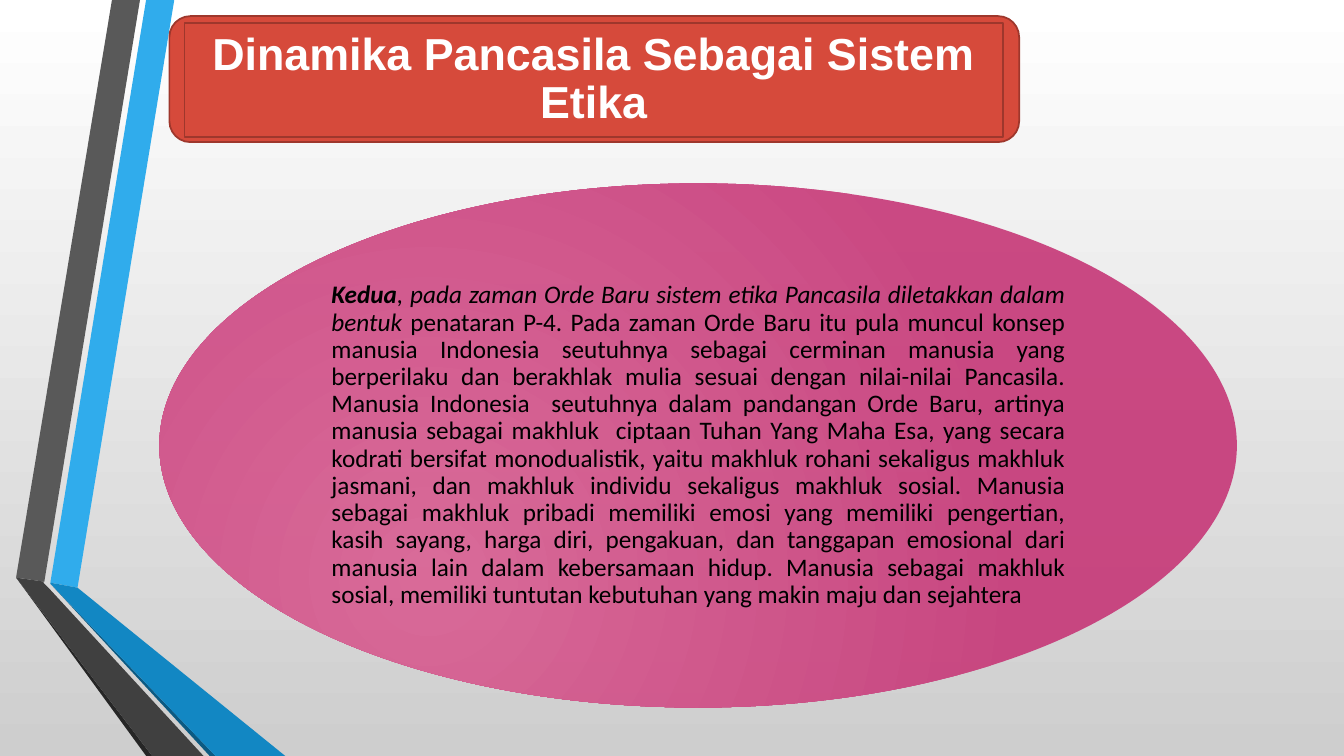
from dataclasses import dataclass

from lxml import etree
from pptx import Presentation
from pptx.dml.color import RGBColor
from pptx.enum.shapes import MSO_SHAPE
from pptx.enum.text import MSO_ANCHOR, PP_ALIGN
from pptx.oxml.ns import qn
from pptx.util import Pt

ROUNDED, RECTANGLE, OVAL = MSO_SHAPE.ROUNDED_RECTANGLE, MSO_SHAPE.RECTANGLE, MSO_SHAPE.OVAL
MIDDLE = MSO_ANCHOR.MIDDLE
CENTER, JUSTIFY = PP_ALIGN.CENTER, PP_ALIGN.JUSTIFY
SLIDE_WIDTH, SLIDE_HEIGHT = 960, 540


@dataclass(frozen=True)
class Theme:
    background: tuple = ("FFFFFF", "CECECE")
    oval: tuple = ("D95F92", "C63777")
    oval_opacity: int = 90
    banner: str = "D64A3B"
    banner_line: str = "9E372C"
    line_width: float = 1.25
    title_font: str = "Arial"
    title_size: int = 32
    title_color: str = "FFFFFF"
    body_font: str = "Calibri"
    body_size: int = 18
    body_color: str = "000000"


@dataclass(frozen=True)
class Box:
    left: float
    top: float
    width: float
    height: float

    def emu(self) -> list:
        return [Pt(value) for value in (self.left, self.top, self.width, self.height)]


@dataclass(frozen=True)
class Ribbon:
    color: str
    points: tuple


@dataclass(frozen=True)
class TextRun:
    text: str
    bold: bool = False
    italic: bool = False


@dataclass(frozen=True)
class TextStyle:
    font: str
    size: float
    color: str
    alignment: PP_ALIGN
    inset: float


THEME = Theme()
TITLE_STYLE = TextStyle(THEME.title_font, THEME.title_size, THEME.title_color, CENTER, 16.5)
BODY_STYLE = TextStyle(THEME.body_font, THEME.body_size, THEME.body_color, JUSTIFY, 10)

# Folded ribbons on the left edge, from back to front
RIBBONS = (
    Ribbon("30ACEC", ((36, 416.2), (55.4, 419.8), (124.5, 0), (104.4, 0))),
    Ribbon("595959", ((100, 0), (80, 0), (11.5, 412.6), (31.7, 415.5))),
    Ribbon("262626", ((11.5, 412.6), (104.4, 540), (108.7, 540))),
    Ribbon("0C5A82", ((36, 416.9), (149.8, 540), (154, 540))),
    Ribbon("1287C3", ((36, 416.9), (154, 540), (203.8, 540), (55.4, 419.8), (36, 416.2))),
    Ribbon("404040", ((145.4, 540), (34.6, 419.8), (31, 416.2), (31.7, 415.5),
                      (11.5, 412.6), (108.7, 540))),
)

BANNER = Box(121, 11.5, 607, 90)
TITLE_PANEL = Box(131.8, 16.5, 584.6, 81.4)
OVAL_BOX = Box(113.8, 131, 769.7, 374.4)
BODY_BOX = Box(226.8, 224.6, 544.3, 187.2)

TITLE = (TextRun("Dinamika Pancasila Sebagai Sistem Etika", bold=True),)
BODY = (
    TextRun("Kedua", bold=True, italic=True),
    TextRun(", pada zaman Orde Baru sistem etika Pancasila diletakkan dalam bentuk ", italic=True),
    TextRun(
        "penataran P-4. Pada zaman Orde Baru itu pula muncul konsep manusia Indonesia "
        "seutuhnya sebagai cerminan manusia yang berperilaku dan berakhlak mulia sesuai "
        "dengan nilai-nilai Pancasila. Manusia Indonesia  seutuhnya dalam pandangan Orde "
        "Baru, artinya manusia sebagai makhluk  ciptaan Tuhan Yang Maha Esa, yang secara "
        "kodrati bersifat monodualistik, yaitu makhluk rohani sekaligus makhluk jasmani, "
        "dan makhluk individu sekaligus makhluk sosial. Manusia sebagai makhluk pribadi "
        "memiliki emosi yang memiliki pengertian, kasih sayang, harga diri, pengakuan, dan "
        "tanggapan emosional dari manusia lain dalam kebersamaan hidup. Manusia sebagai "
        "makhluk sosial, memiliki tuntutan kebutuhan yang makin maju dan sejahtera"
    ),
)


def set_gradient(fill, colors: tuple) -> None:
    fill.gradient()
    for stop, color in zip(fill.gradient_stops, colors):
        stop.color.rgb = RGBColor.from_string(color)


def draw_ribbon(slide, ribbon: Ribbon) -> None:
    start, *others = [(Pt(x), Pt(y)) for x, y in ribbon.points]
    builder = slide.shapes.build_freeform(*start)
    builder.add_line_segments(others, close=True)
    shape = builder.convert_to_shape()
    shape.shadow.inherit = False
    shape.fill.solid()
    shape.fill.fore_color.rgb = RGBColor.from_string(ribbon.color)
    shape.line.fill.background()


def draw_panel(slide, kind: MSO_SHAPE, box: Box):
    shape = slide.shapes.add_shape(kind, *box.emu())
    shape.shadow.inherit = False
    shape.fill.solid()
    shape.fill.fore_color.rgb = RGBColor.from_string(THEME.banner)
    shape.line.color.rgb = RGBColor.from_string(THEME.banner_line)
    shape.line.width = Pt(THEME.line_width)
    return shape


def draw_oval(slide, box: Box) -> None:
    shape = slide.shapes.add_shape(OVAL, *box.emu())
    shape.shadow.inherit = False
    shape.line.fill.background()
    set_gradient(shape.fill, THEME.oval)
    gradient = shape._element.spPr.find(qn("a:gradFill"))
    for color in gradient.iter(qn("a:srgbClr")):
        etree.SubElement(color, qn("a:alpha"), val=str(THEME.oval_opacity * 1000))
    # Radial shading centred towards the lower left
    radial = etree.Element(qn("a:path"), {"path": "circle"})
    etree.SubElement(radial, qn("a:fillToRect"), l="50000", t="100000", r="100000", b="50000")
    gradient.replace(gradient.find(qn("a:lin")), radial)


def write_text(shape, runs: tuple, style: TextStyle) -> None:
    frame = shape.text_frame
    frame.word_wrap = True
    frame.vertical_anchor = MIDDLE
    frame.margin_left = frame.margin_right = Pt(style.inset)
    frame.margin_top = frame.margin_bottom = Pt(style.inset)
    paragraph = frame.paragraphs[0]
    paragraph.alignment = style.alignment
    paragraph.line_spacing = 0.9
    paragraph.space_after = Pt(0.35 * style.size)
    for item in runs:
        run = paragraph.add_run()
        run.text = item.text
        run.font.name = style.font
        run.font.size = Pt(style.size)
        run.font.bold = item.bold
        run.font.italic = item.italic
        run.font.color.rgb = RGBColor.from_string(style.color)


def main() -> None:
    presentation = Presentation()
    presentation.slide_width = Pt(SLIDE_WIDTH)
    presentation.slide_height = Pt(SLIDE_HEIGHT)
    slide = presentation.slides.add_slide(presentation.slide_layouts[6])

    # Background, light at the top
    set_gradient(slide.background.fill, THEME.background)
    slide.background.fill.gradient_angle = 270

    for ribbon in RIBBONS:
        draw_ribbon(slide, ribbon)

    # Title banner
    draw_panel(slide, ROUNDED, BANNER)
    write_text(draw_panel(slide, RECTANGLE, TITLE_PANEL), TITLE, TITLE_STYLE)

    # Body text on the oval
    draw_oval(slide, OVAL_BOX)
    write_text(slide.shapes.add_textbox(*BODY_BOX.emu()), BODY, BODY_STYLE)

    presentation.save("out.pptx")


if __name__ == "__main__":
    main()
